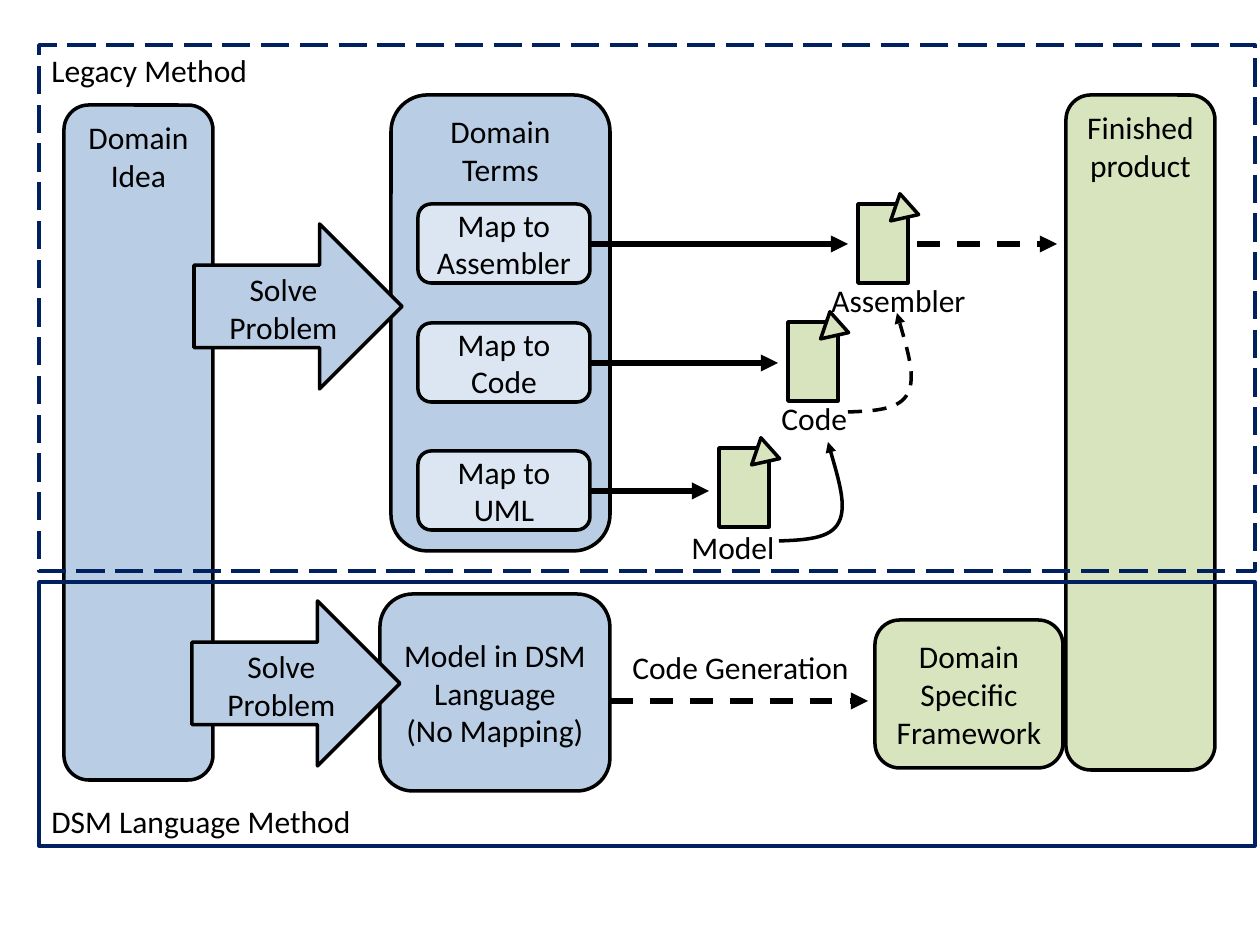
from pptx import Presentation
from pptx.dml.color import RGBColor
from pptx.enum.dml import MSO_LINE
from pptx.enum.shapes import MSO_CONNECTOR, MSO_SHAPE
from pptx.enum.text import MSO_ANCHOR, PP_ALIGN
from pptx.oxml.ns import qn
from pptx.util import Emu, Pt
from lxml import etree

PX = 914400 // 126
BLACK = RGBColor(0x00, 0x00, 0x00)
NAVY = RGBColor(0x00, 0x20, 0x60)
BLUE = RGBColor(0xB9, 0xCD, 0xE5)
PALE_BLUE = RGBColor(0xDC, 0xE6, 0xF2)
GREEN = RGBColor(0xD7, 0xE4, 0xBD)


def px(*lengths):
    return [Emu(length * PX) for length in lengths]


def write(frame, paragraphs, align, anchor, wrap=True):
    frame.word_wrap = wrap
    frame.vertical_anchor = anchor
    for index, words in enumerate(paragraphs):
        paragraph = frame.paragraphs[0] if index == 0 else frame.add_paragraph()
        paragraph.alignment = align
        run = paragraph.add_run()
        run.text = words
        run.font.name = "Calibri"
        run.font.size = Pt(18)
        run.font.color.rgb = BLACK


def stroke(line, color=BLACK, width=2, dash=None):
    line.color.rgb = color
    line.width = Pt(width)
    if dash is not None:
        line.dash_style = dash


def add_arrowhead(shape):
    outline = shape._element.spPr.find(qn("a:ln"))
    etree.SubElement(outline, qn("a:tailEnd"), type="triangle")


def block(slide, kind, box, fill, paragraphs=(), anchor=MSO_ANCHOR.MIDDLE,
          align=PP_ALIGN.CENTER, color=BLACK, dash=None, rotation=0):
    shape = slide.shapes.add_shape(kind, *px(*box))
    shape.shadow.inherit = False
    shape.rotation = rotation
    if fill is None:
        shape.fill.background()
    else:
        shape.fill.solid()
        shape.fill.fore_color.rgb = fill
    stroke(shape.line, color, dash=dash)
    write(shape.text_frame, paragraphs, align, anchor)


def rounded(slide, box, fill, paragraphs, anchor=MSO_ANCHOR.MIDDLE):
    block(slide, MSO_SHAPE.ROUNDED_RECTANGLE, box, fill, paragraphs, anchor)


def label(slide, box, words, align=PP_ALIGN.LEFT, wrap=False):
    text = slide.shapes.add_textbox(*px(*box))
    write(text.text_frame, [words], align, MSO_ANCHOR.TOP, wrap)


def arrow(slide, left, right, y, dash=None):
    connector = slide.shapes.add_connector(
        MSO_CONNECTOR.STRAIGHT, *px(left, y, right, y))
    stroke(connector.line, width=3.25, dash=dash)
    add_arrowhead(connector)
    etree.SubElement(connector._element.spPr, qn("a:effectLst"))


def curved_arrow(slide, x, y, dash=None):
    bends = [(26, -1), (52, -2), (60, -19), (68, -35), (58, -67), (49, -99)]
    builder = slide.shapes.build_freeform(x, y, scale=PX)
    builder.add_line_segments([(x + dx, y + dy) for dx, dy in bends], close=False)
    curve = builder.convert_to_shape()
    curve.shadow.inherit = False
    curve.fill.background()
    stroke(curve.line, dash=dash)
    add_arrowhead(curve)
    outline = next(curve._element.iter(qn("a:path")))
    segments = outline.findall(qn("a:lnTo"))
    for start in (0, 3):
        bezier = etree.SubElement(outline, qn("a:cubicBezTo"))
        for segment in segments[start:start + 3]:
            bezier.append(segment[0])
            outline.remove(segment)


def solve_problem(slide, x, y):
    block(slide, MSO_SHAPE.RIGHT_ARROW, (x, y, 208, 165), BLUE)
    label(slide, (x, y + 40, 179, 89), "Solve Problem", PP_ALIGN.CENTER, True)


def document(slide, x, y):
    block(slide, MSO_SHAPE.RECTANGLE, (x, y, 50, 79), GREEN)
    block(slide, MSO_SHAPE.ISOSCELES_TRIANGLE, (x + 28, y - 4, 28, 25), GREEN,
          rotation=228.1)


def method_frame(slide, box, title, anchor, dash=None):
    block(slide, MSO_SHAPE.RECTANGLE, box, None, [title], anchor,
          PP_ALIGN.LEFT, NAVY, dash)


def main():
    presentation = Presentation()
    presentation.slide_width, presentation.slide_height = px(1260, 945)
    slide = presentation.slides.add_slide(presentation.slide_layouts[6])

    rounded(slide, (380, 594, 230, 197), BLUE,
            ["Model in DSM Language", "(No Mapping)"])
    rounded(slide, (64, 105, 149, 675), BLUE, ["Domain Idea"], MSO_ANCHOR.TOP)
    rounded(slide, (1066, 95, 149, 675), GREEN, ["Finished", "product"],
            MSO_ANCHOR.TOP)
    rounded(slide, (391, 95, 219, 456), BLUE, ["Domain Terms"], MSO_ANCHOR.TOP)

    mappings = [
        (["Map to", "Assembler"], 204, 858, 204, "Assembler", (819, 275, 161, 50)),
        (["Map to Code"], 323, 788, 322, "Code", (769, 393, 92, 50)),
        (["Map to UML"], 451, 719, 448, "Model", (679, 522, 110, 50)),
    ]
    for target, top, page_left, page_top, output, output_box in mappings:
        arrow(slide, 581, page_left - 10, top + 40)
        rounded(slide, (418, top, 172, 79), PALE_BLUE, target)
        label(slide, output_box, output)
        document(slide, page_left, page_top)

    solve_problem(slide, 194, 224)
    curved_arrow(slide, 779, 541)
    curved_arrow(slide, 848, 412, MSO_LINE.DASH)
    arrow(slide, 917, 1057, 244, MSO_LINE.DASH)

    method_frame(slide, (39, 45, 1216, 526), "Legacy Method", MSO_ANCHOR.TOP,
                 MSO_LINE.LONG_DASH)
    method_frame(slide, (39, 582, 1216, 264), "DSM Language Method",
                 MSO_ANCHOR.BOTTOM)

    solve_problem(slide, 192, 601)
    arrow(slide, 610, 868, 701, MSO_LINE.DASH)
    rounded(slide, (875, 620, 188, 148), GREEN, ["Domain Specific Framework"])
    label(slide, (620, 642, 244, 50), "Code Generation")

    presentation.save("out.pptx")


main()
